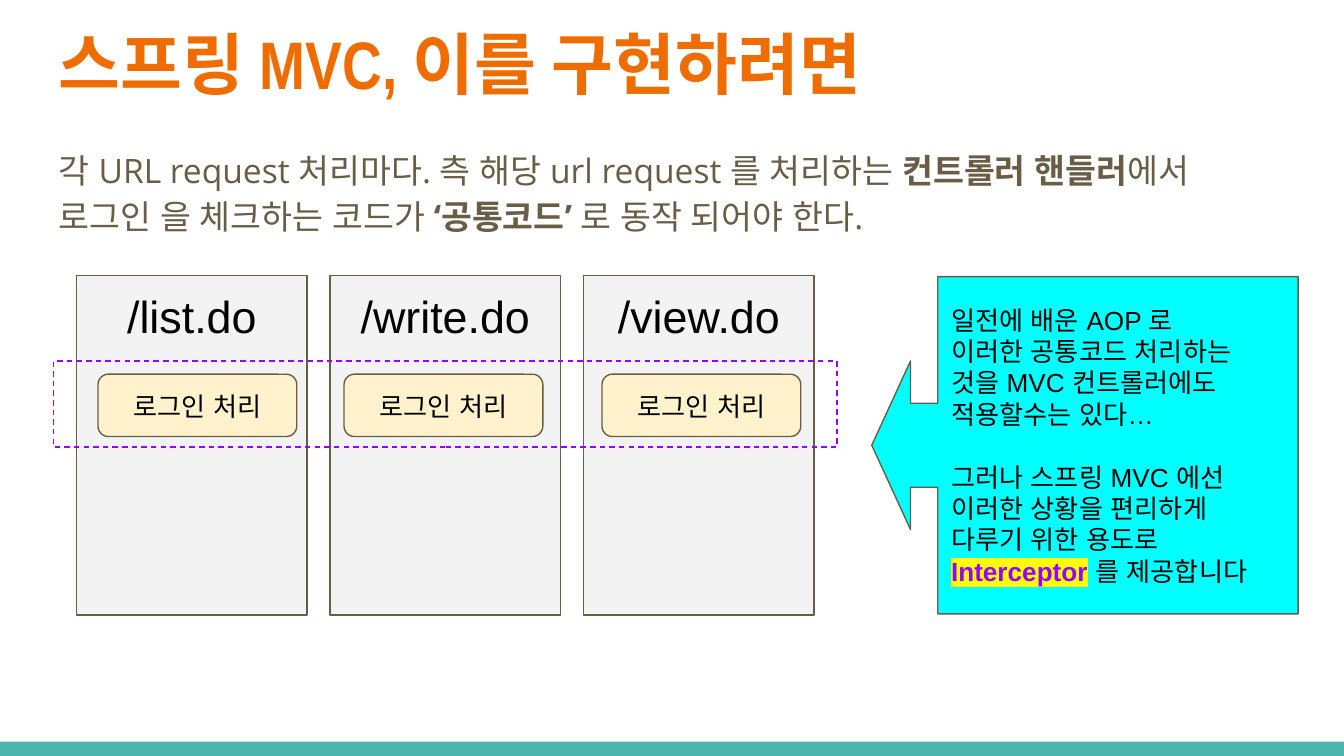
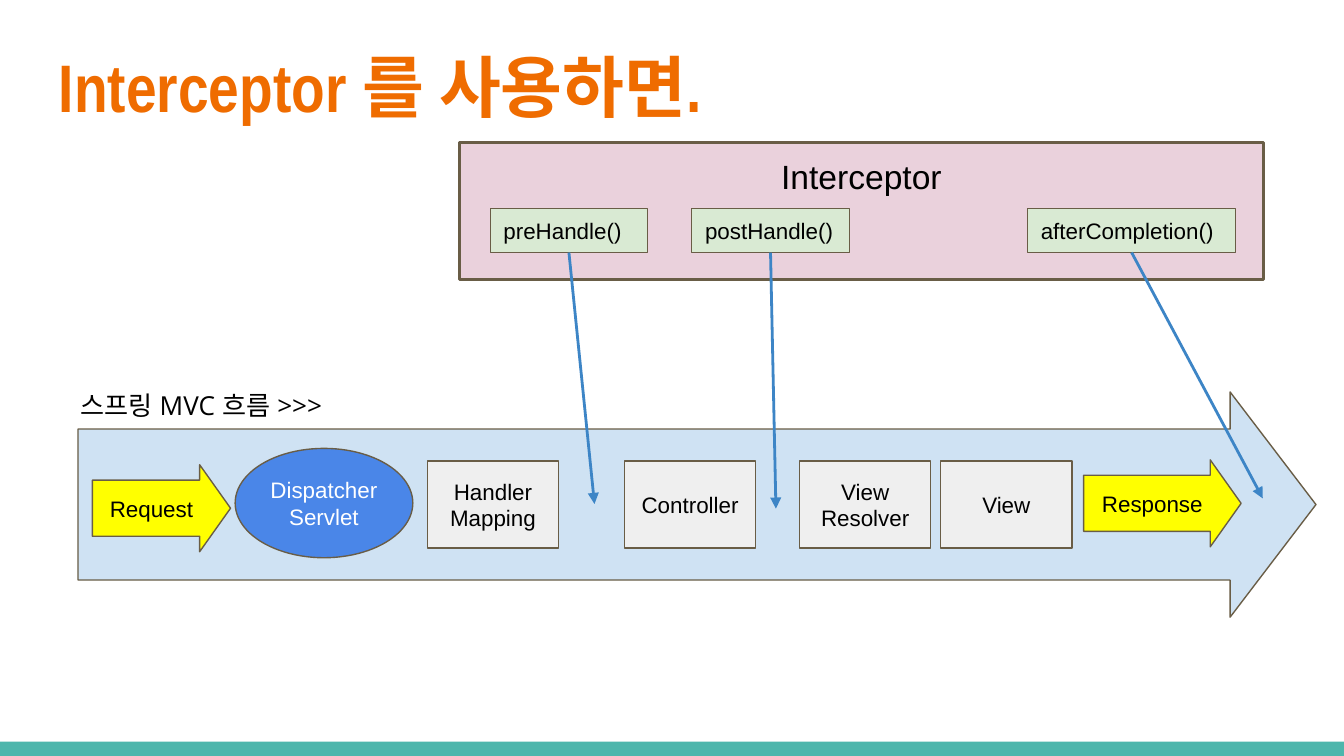
from lxml.etree import SubElement
from pptx import Presentation
from pptx.dml.color import RGBColor
from pptx.enum.dml import MSO_LINE
from pptx.enum.shapes import MSO_CONNECTOR, MSO_SHAPE
from pptx.enum.text import MSO_ANCHOR, PP_ALIGN
from pptx.oxml.ns import qn
from pptx.util import Pt

# Shared look
ORANGE, BROWN, TEAL, PURPLE = "EF6C00", "695D46", "4DB6AC", "9900FF"
BLACK, WHITE, YELLOW, BLUE = "000000", "FFFFFF", "FFFF00", "3D85C6"
INSET = 7.2
LEFT, CENTER = PP_ALIGN.LEFT, PP_ALIGN.CENTER
TOP, MIDDLE = MSO_ANCHOR.TOP, MSO_ANCHOR.MIDDLE

# Content of slide 1: a paragraph is a list of runs (text, options)
COMMON_CODE_TITLE = "스프링 MVC, 이를 구현하려면"
COMMON_CODE_BODY = [[
    ("각 URL request 처리마다. 측 해당 url request 를 처리하는 ", {}),
    ("컨트롤러 핸들러", {"bold": True}),
    ("에서 \n로그인 을 체크하는 코드가 ", {}),
    ("‘공통코드’", {"bold": True}),
    (" 로 동작 되어야 한다.", {}),
]]
LOGIN_TEXT = "로그인 처리"
HANDLERS = [("/list.do", 52.5), ("/write.do", 184.3), ("/view.do", 322.5)]  # name, login box left
CALLOUT = [
    [("일전에 배운 AOP 로\n이러한 공통코드 처리하는 것을 MVC 컨트롤러에도 적용할수는 있다…", {})],
    [("그러나 스프링 MVC 에선\n이러한 상황을 편리하게 다루기 위한 용도로", {})],
    [("Interceptor", {"bold": True, "color": PURPLE, "highlight": YELLOW}),
     (" 를 제공합니다", {})],
]

# Content of slide 2
FLOW_TITLE = "Interceptor 를 사용하면."
FLOW_LABEL = "스프링 MVC 흐름 >>>"
STAGES = [("Handler\nMapping", 229), ("Controller", 334.6), ("View\nResolver", 428.4), ("View", 504)]
MESSAGES = [("Request", 49.5, 249, 74), ("Response", 580.5, 246.4, 84.4)]  # text, left, top, width
HOOKS = [  # text, left, width, arrow end
    ("preHandle()", 262.6, 84.4, (318.5, 270)),
    ("postHandle()", 370.6, 84.4, (415.7, 272.5)),
    ("afterCompletion()", 550.5, 111.5, (676.5, 267)),
]


def rgb(color):
    return RGBColor.from_string(color)


def style_run(run, size, font="Arial", color=BLACK, bold=False, highlight=None):
    run.font.size, run.font.bold, run.font.name = Pt(size), bold, font
    run.font.color.rgb = rgb(color)
    properties = run.font._element
    for tag in ("a:ea", "a:cs"):
        SubElement(properties, qn(tag), typeface=font)
    if highlight:
        marker = SubElement(properties, qn("a:highlight"))
        SubElement(marker, qn("a:srgbClr"), val=highlight)
        properties.find(qn("a:latin")).addprevious(marker)


def write(shape, content, size, align=LEFT, anchor=TOP, inset=INSET, **style):
    """Fill a shape with a string or with a list of paragraphs of runs."""
    frame = shape.text_frame
    frame.word_wrap, frame.vertical_anchor = True, anchor
    frame.margin_left = frame.margin_right = frame.margin_top = frame.margin_bottom = Pt(inset)
    paragraphs = [[(content, {})]] if isinstance(content, str) else content
    for number, runs in enumerate(paragraphs):
        paragraph = frame.add_paragraph() if number else frame.paragraphs[0]
        paragraph.alignment = align
        for text, options in runs:
            for line_number, line in enumerate(text.split("\n")):
                if line_number:
                    paragraph.add_line_break()
                run = paragraph.add_run()
                run.text = line
                style_run(run, size, **{**style, **options})
    return frame


def add_text(slide, box, content, size, **style):
    return write(slide.shapes.add_textbox(*map(Pt, box)), content, size, **style)


def add_box(slide, kind, box, fill=None, line=BROWN, width=0.75, adjust=()):
    shape = slide.shapes.add_shape(kind, *map(Pt, box))
    shape.shadow.inherit = False
    for number, value in enumerate(adjust):
        shape.adjustments[number] = value
    if fill:
        shape.fill.solid()
        shape.fill.fore_color.rgb = rgb(fill)
    else:
        shape.fill.background()
    if line:
        shape.line.color.rgb = rgb(line)
        shape.line.width = Pt(width)
    else:
        shape.line.fill.background()
    return shape


def add_arrow(slide, source, end):
    arrow = slide.shapes.add_connector(MSO_CONNECTOR.STRAIGHT, 0, 0, *map(Pt, end))
    arrow.begin_connect(source, 2)
    arrow.line.color.rgb = rgb(BLUE)
    arrow.line.width = Pt(1.5)
    SubElement(arrow.line._get_or_add_ln(), qn("a:tailEnd"), type="triangle")
    SubElement(arrow._element.spPr, qn("a:effectLst"))


def add_slide(presentation, title, title_top):
    slide = presentation.slides.add_slide(presentation.slide_layouts[6])
    add_box(slide, MSO_SHAPE.RECTANGLE, (0, 397.3, 720, 7.7), TEAL, None)
    add_text(slide, (24.5, title_top, 671, 55.4), title, 36,
             font="Arial Narrow", color=ORANGE, bold=True)
    return slide


def build_common_code(presentation):
    slide = add_slide(presentation, COMMON_CODE_TITLE, 5)
    body = add_text(slide, (24.5, 69.8, 671, 66.2), COMMON_CODE_BODY, 18,
                    font="Open Sans", color=BROWN)
    body.paragraphs[0].line_spacing = 1.15
    body.paragraphs[0].space_after = Pt(16)

    # Handler columns, then the login boxes over them
    for number, (name, _) in enumerate(HANDLERS):
        column = add_box(slide, MSO_SHAPE.RECTANGLE,
                         (41 + 135.8 * number, 147.5, 123.6, 182), "F3F3F3")
        write(column, name, 24, CENTER)
    for _, left in HANDLERS:
        login = add_box(slide, MSO_SHAPE.ROUNDED_RECTANGLE, (left, 200.5, 106.5, 33.4),
                        "FFF2CC", adjust=[0.167])
        write(login, LOGIN_TEXT, 14, CENTER)
    common = add_box(slide, MSO_SHAPE.RECTANGLE, (28.7, 193.5, 419.8, 46.1), line=PURPLE)
    common.line.dash_style = MSO_LINE.DASH

    callout = add_box(slide, MSO_SHAPE.LEFT_ARROW_CALLOUT, (467, 148.2, 228.4, 180.7),
                      "00FFFF", adjust=[0.249, 0.25, 0.115, 0.845])
    frame = write(callout, CALLOUT, 14, anchor=MIDDLE)
    frame.paragraphs[1].space_before = Pt(16.8)


def build_flow(presentation):
    slide = add_slide(presentation, FLOW_TITLE, 17)

    # MVC flow
    add_box(slide, MSO_SHAPE.RIGHT_ARROW, (41.8, 210, 663.2, 120.7), "CFE2F3", adjust=[0.67, 0.381])
    servlet = add_box(slide, MSO_SHAPE.OVAL, (126, 240.2, 95.2, 58.6), "4A86E8")
    write(servlet, [[("Dispatcher", {})], [("Servlet", {})]], 12, CENTER, MIDDLE, 0, color=WHITE)
    for text, left, top, width in MESSAGES:
        message = add_box(slide, MSO_SHAPE.RIGHT_ARROW, (left, top, width, 46.6),
                          YELLOW, adjust=[0.645, 0.355])
        write(message, text, 12, CENTER, MIDDLE)
    for text, left in STAGES:
        stage = add_box(slide, MSO_SHAPE.RECTANGLE, (left, 247, 70.3, 46.6), "EFEFEF")
        write(stage, text, 12, CENTER, MIDDLE)

    # Interceptor with its hooks
    interceptor = add_box(slide, MSO_SHAPE.RECTANGLE, (246, 76.3, 431, 73.4), "EAD1DC", width=1.5)
    write(interceptor, "Interceptor", 18, CENTER)
    for text, left, width, end in HOOKS:
        hook = add_box(slide, MSO_SHAPE.RECTANGLE, (left, 111.7, width, 23.6), "D9EAD3")
        write(hook, text, 12, anchor=MIDDLE)
        add_arrow(slide, hook, end)
    add_text(slide, (36, 201.6, 185, 27.4), FLOW_LABEL, 14, font="Open Sans")


def main():
    presentation = Presentation()
    presentation.slide_width, presentation.slide_height = Pt(720), Pt(405)
    build_common_code(presentation)
    build_flow(presentation)
    presentation.save("out.pptx")


if __name__ == "__main__":
    main()
